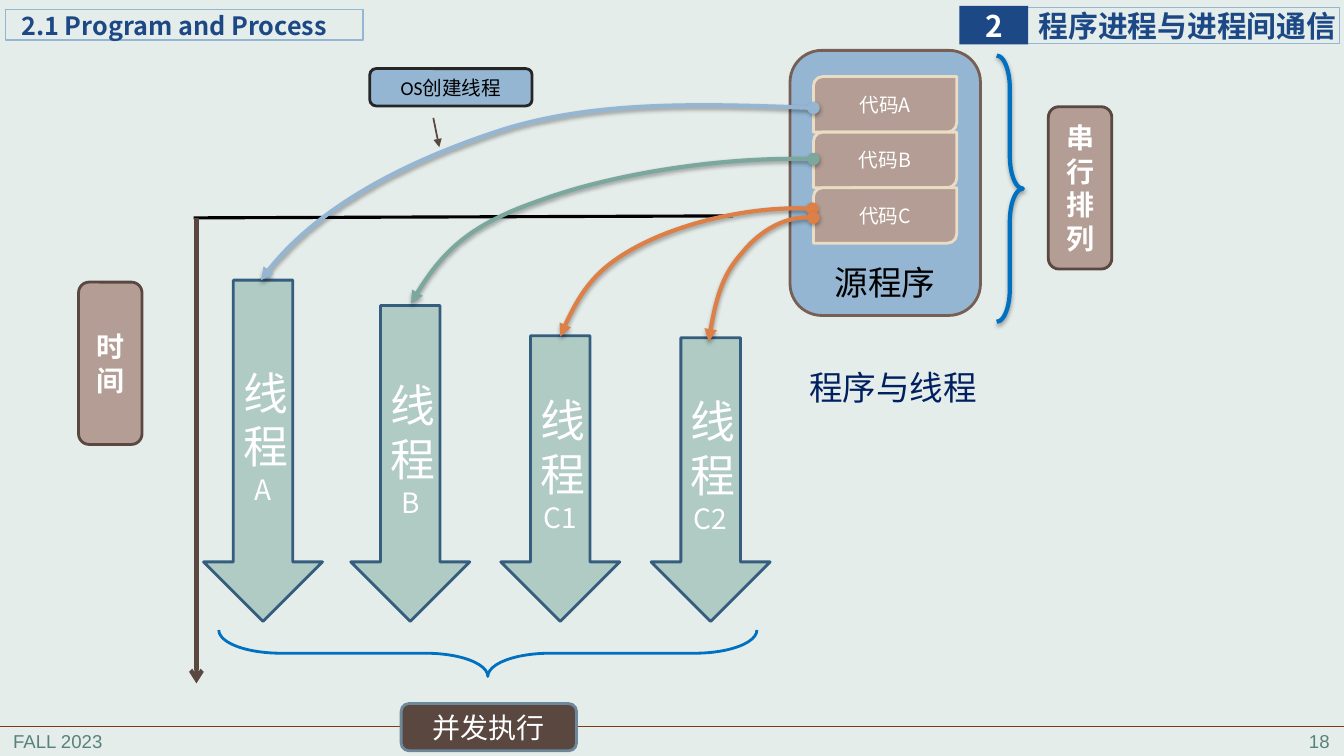
from pptx import Presentation
from pptx import util as u
from pptx.dml.color import RGBColor
from pptx.enum import shapes, text
from pptx.oxml.ns import qn
from lxml import etree


class Theme:
    cjk = "Noto Sans CJK SC"
    latin = "Calibri"
    footer_font = "Arial"
    backdrop = "E5EDEB"
    navy = "1C4885"
    title = "002060"
    sky = "94B6D2"
    mint = "B0CAC4"
    teal = "7BA79D"
    orange = "DD8047"
    blue = "0070C0"
    arrow_edge = "355D7E"
    tan = "B39D94"
    cream = "EBDDC3"
    brown = "775F55"
    dark_brown = "594740"
    slate = "6D879B"
    rust = "7B3D17"
    footer = "578279"
    charcoal = "262626"
    black = "000000"
    white = "FFFFFF"
    small, code, heading, label, chapter, large, thread = 13.3, 14, 18, 20, 21.3, 24, 32


Kind = shapes.MSO_SHAPE
Align = text.PP_ALIGN
Anchor = text.MSO_ANCHOR

deck = Presentation()
deck.slide_width, deck.slide_height = u.Cm(33.87), u.Cm(19.05)
page = deck.slides.add_slide(deck.slide_layouts[6])
page.background.fill.solid()
page.background.fill.fore_color.rgb = RGBColor.from_string(Theme.backdrop)


def dress(item, fill, line, width, shadow=False):
    item.shadow.inherit = False
    if fill:
        item.fill.solid()
        item.fill.fore_color.rgb = RGBColor.from_string(fill)
    else:
        item.fill.background()
    if line:
        item.line.color.rgb = RGBColor.from_string(line)
        item.line.width = u.Pt(width)
    else:
        item.line.fill.background()
    if shadow:
        effects = item._element.spPr.find(qn("a:effectLst"))
        outer = etree.SubElement(effects, qn("a:outerShdw"), blurRad="40000", dist="23000",
                                 dir="5400000", rotWithShape="0")
        tint = etree.SubElement(outer, qn("a:srgbClr"), val=Theme.black)
        etree.SubElement(tint, qn("a:alpha"), val="35000")


def write(item, spans, color, align=Align.CENTER, bold=False, font=Theme.cjk,
          anchor=Anchor.MIDDLE, insets=(0.25, 0.13, 0.25, 0.13), wrap=True):
    frame = item.text_frame
    frame.word_wrap = wrap
    frame.vertical_anchor = anchor
    frame.margin_left, frame.margin_top, frame.margin_right, frame.margin_bottom = map(u.Cm, insets)
    para = frame.paragraphs[0]
    para.alignment = align
    for words, size in spans:
        span = para.add_run()
        span.text = words
        span.font.size = u.Pt(size)
        span.font.bold = bold
        span.font.name = font
        span.font.color.rgb = RGBColor.from_string(color)
        etree.SubElement(span._r.get_or_add_rPr(), qn("a:ea"), typeface=Theme.cjk)
    return para


for words, left, align in [("FALL 2023", 0.08, Align.LEFT), ("18", 26.7, Align.RIGHT)]:
    box = page.shapes.add_textbox(u.Cm(left), u.Cm(18.26), u.Cm(7.06), u.Cm(0.79))
    write(box, [(words, Theme.small)], Theme.footer, align, font=Theme.footer_font, anchor=Anchor.TOP)

headers = [
    ("程序进程与进程间通信", (25.88, 0.18, 7.87, 0.91), 0.3, Theme.chapter,
     None, Theme.sky, Theme.navy, Align.LEFT, True),
    ("2", (24.18, 0.15, 1.73, 0.97), 0, Theme.chapter,
     Theme.navy, None, Theme.white, Align.CENTER, False),
    ("2.1 Program and Process", (0.13, 0.25, 9.02, 0.76), 0.41, Theme.heading,
     None, Theme.sky, Theme.navy, Align.LEFT, True),
]
for words, place, indent, size, fill, line, color, align, wrap in headers:
    box = page.shapes.add_shape(Kind.RECTANGLE, *map(u.Cm, place))
    dress(box, fill, line, 0.75)
    write(box, [(words, size)], color, align, bold=True, insets=(indent, 0, 0, 0), wrap=wrap)

straight_lines = [
    (-0.08, 18.31, 33.87, 18.31, Theme.rust, 0.5, None),
    (4.88, 5.49, 18.47, 5.44, Theme.black, 2.25, None),
    (4.95, 5.49, 4.95, 17.22, Theme.dark_brown, 3, "arrow"),
    (10.92, 2.97, 11.07, 3.71, Theme.dark_brown, 1.25, "triangle"),
]
for *ends, color, width, tail in straight_lines:
    rule = page.shapes.add_connector(shapes.MSO_CONNECTOR.STRAIGHT, *map(u.Cm, ends))
    rule.line.color.rgb = RGBColor.from_string(color)
    rule.line.width = u.Pt(width)
    if tail:
        etree.SubElement(rule.line._get_or_add_ln(), qn("a:tailEnd"), type=tail)
    etree.SubElement(rule._element.spPr, qn("a:effectLst"))

title = page.shapes.add_textbox(u.Cm(20.19), u.Cm(8.71), u.Cm(4.67), u.Cm(2.21))
write(title, [("程序与线程", Theme.large)], Theme.title, Align.LEFT,
      insets=(0.2, 0.1, 0.2, 0.1)).line_spacing = 0.9

thread_bottom = 15.66
for name, left, top in [("A", 5.13, 7.06), ("B", 8.84, 7.7), ("C1", 12.62, 8.46), ("C2", 16.41, 8.51)]:
    thread = page.shapes.add_shape(Kind.DOWN_ARROW, u.Cm(left), u.Cm(top),
                                   u.Cm(3), u.Cm(thread_bottom - top))
    dress(thread, Theme.mint, Theme.arrow_edge, 2)
    write(thread, [("线程", Theme.thread), (name, Theme.label)], Theme.white)

program = page.shapes.add_shape(Kind.ROUNDED_RECTANGLE, u.Cm(19.91), u.Cm(1.27), u.Cm(4.8), u.Cm(6.68))
dress(program, Theme.sky, Theme.brown, 2)
for row, name in enumerate("ABC"):
    code = page.shapes.add_shape(Kind.ROUND_2_DIAG_RECTANGLE, u.Cm(20.5), u.Cm(1.93 + 1.4 * row),
                                 u.Cm(3.61), u.Cm(1.4))
    dress(code, Theme.tan, Theme.cream, 2)
    write(code, [("代码" + name, Theme.code)], Theme.white)
program_name = page.shapes.add_textbox(u.Cm(20.78), u.Cm(6.48), u.Cm(3.07), u.Cm(1.27))
write(program_name, [("源程序", Theme.large)], Theme.black, Align.LEFT, anchor=Anchor.TOP, wrap=False)

launch_curves = [
    (Theme.sky, [(20.5, 2.72), (17.78, 2.62), (15.06, 2.54), (12.73, 3.25),
                 (10.41, 3.99), (7.87, 5.23), (6.58, 7.06)]),
    (Theme.teal, [(20.5, 4.01), (18.11, 3.94), (15.34, 4.42), (13.67, 5.03),
                  (11.96, 5.61), (11.1, 6.32), (10.36, 7.65)]),
    (Theme.orange, [(20.47, 5.26), (18.97, 5.18), (17.25, 5.61), (16.18, 6.15),
                    (15.14, 6.68), (14.61, 7.29), (14.12, 8.48)]),
    (Theme.orange, [(20.5, 5.49), (19.86, 5.41), (19.15, 5.82), (18.72, 6.35),
                    (18.26, 6.86), (18.03, 7.47), (17.86, 8.61)]),
]
for color, points in launch_curves:
    start, *rest = [(u.Cm(x), u.Cm(y)) for x, y in points]
    builder = page.shapes.build_freeform(*start)
    builder.add_line_segments(rest, close=False)
    curve = builder.convert_to_shape()
    outline = next(curve._element.iter(qn("a:path")))
    steps = outline.findall(qn("a:lnTo"))
    for first in range(0, len(steps), 3):
        bend = etree.SubElement(outline, qn("a:cubicBezTo"))
        for step in steps[first:first + 3]:
            bend.append(step[0])
            outline.remove(step)
    dress(curve, None, color, 3, shadow=True)
    stroke = curve.line._get_or_add_ln()
    etree.SubElement(stroke, qn("a:headEnd"), type="oval")
    etree.SubElement(stroke, qn("a:tailEnd"), type="triangle")

parallel_brace = page.shapes.add_shape(Kind.LEFT_BRACE, u.Cm(11.71), u.Cm(9.68), u.Cm(1.17), u.Cm(13.56))
parallel_brace.rotation = 270
parallel_brace.adjustments[0], parallel_brace.adjustments[1] = 1.34, 0.5
dress(parallel_brace, None, Theme.blue, 2)

serial_brace = page.shapes.add_shape(Kind.LEFT_BRACE, u.Cm(25.12), u.Cm(1.4), u.Cm(0.66), u.Cm(6.71))
serial_brace._element.spPr.find(qn("a:xfrm")).set("flipH", "1")
serial_brace.adjustments[0], serial_brace.adjustments[1] = 1.25, 0.5
dress(serial_brace, None, Theme.blue, 3, shadow=True)

labels = [
    ("OS创建线程", Kind.ROUNDED_RECTANGLE, (9.32, 1.73, 4.09, 0.94), Theme.sky, Theme.charcoal,
     Theme.code, Theme.black, False, Theme.latin),
    ("串行排列", Kind.ROUNDED_RECTANGLE, (26.42, 2.69, 1.6, 4.09), Theme.tan, Theme.dark_brown,
     Theme.label, Theme.white, True, Theme.cjk),
    ("并发执行", Kind.FLOWCHART_ALTERNATE_PROCESS, (10.11, 17.73, 4.42, 1.19), Theme.dark_brown,
     Theme.slate, Theme.label, Theme.white, False, Theme.cjk),
    ("时间", Kind.ROUNDED_RECTANGLE, (1.98, 7.11, 1.6, 4.09), Theme.tan, Theme.dark_brown,
     Theme.label, Theme.white, True, Theme.cjk),
]
for words, kind, place, fill, line, size, color, bold, font in labels:
    label = page.shapes.add_shape(kind, *map(u.Cm, place))
    dress(label, fill, line, 2)
    write(label, [(words, size)], color, bold=bold, font=font)

deck.save("out.pptx")
